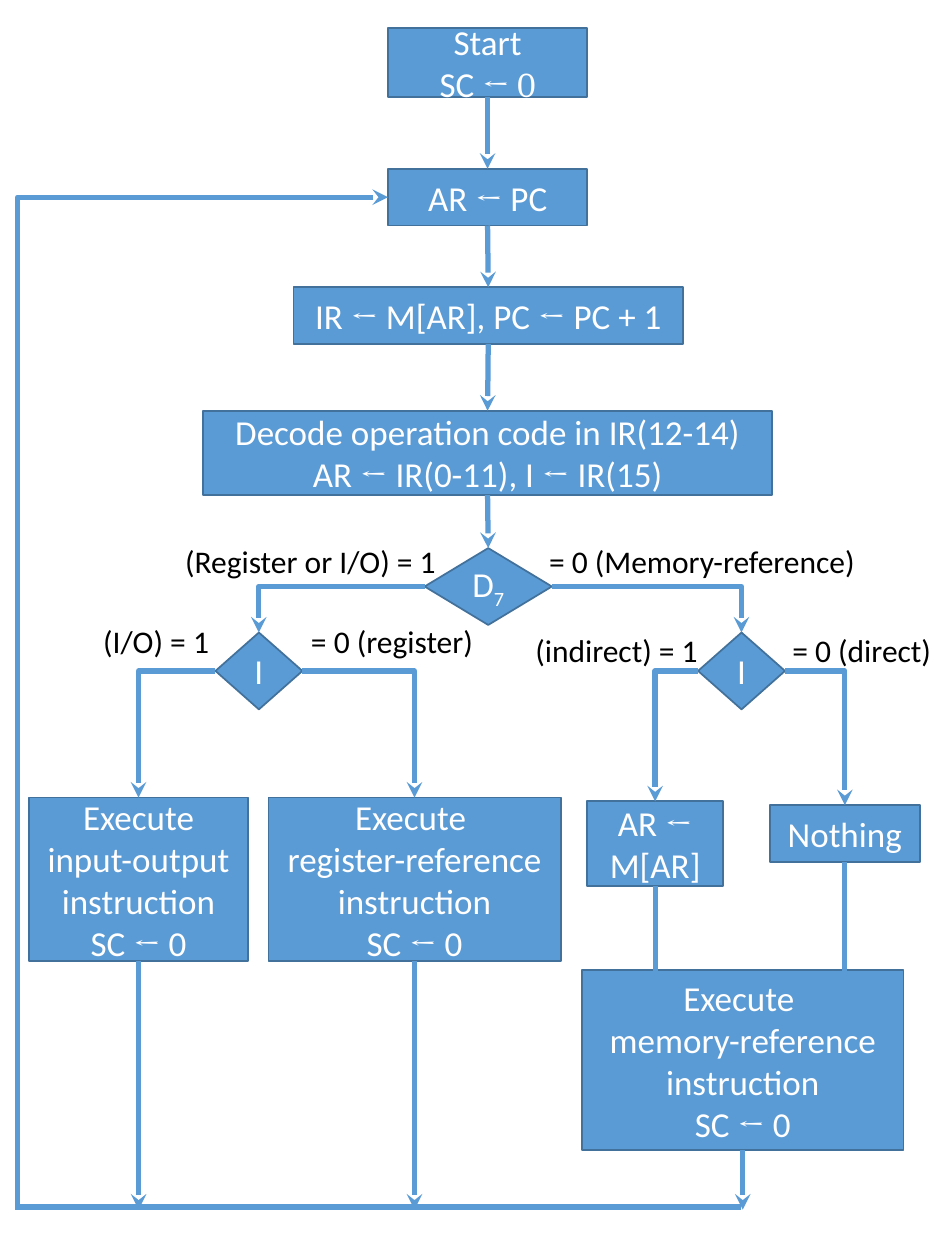
from pptx import Presentation
from pptx.dml.color import RGBColor
from pptx.enum.shapes import MSO_CONNECTOR as Link, MSO_SHAPE as Shape
from pptx.enum.text import MSO_ANCHOR as Anchor, PP_ALIGN as Align
from pptx.oxml.ns import qn
from pptx.util import Inches, Pt
from lxml import etree

BLUE = RGBColor(0x5B, 0x9B, 0xD5)
EDGE = RGBColor(0x42, 0x71, 0x9B)
WHITE = RGBColor(0xFF, 0xFF, 0xFF)
BLACK = RGBColor(0x00, 0x00, 0x00)
ARROW = "←"
RESET = ("SC ", ARROW, " 0")


def fill_text(frame, lines, size, color, align):
    """Write lines of pieces; a piece that starts with an arrow is in Cambria."""
    for number, pieces in enumerate(lines):
        para = frame.paragraphs[0] if number == 0 else frame.add_paragraph()
        para.alignment = align
        for piece in pieces:
            span = para.add_run()
            span.text = piece
            span.font.name = "Cambria" if piece.startswith(ARROW) else "Calibri"
            span.font.size = Pt(size)
            span.font.color.rgb = color


def add_node(page, box, *lines, kind=Shape.RECTANGLE):
    node = page.shapes.add_shape(kind, *map(Inches, box))
    node.shadow.inherit = False
    node.fill.solid()
    node.fill.fore_color.rgb = BLUE
    node.line.color.rgb = EDGE
    node.line.width = Pt(1)
    node.text_frame.word_wrap = True
    node.text_frame.vertical_anchor = Anchor.MIDDLE
    fill_text(node.text_frame, lines, 20, WHITE, Align.CENTER)
    return node


def add_label(page, box, text):
    label = page.shapes.add_textbox(*map(Inches, box))
    label.text_frame.word_wrap = False
    fill_text(label.text_frame, [[text]], 18, BLACK, Align.LEFT)


def add_link(page, start, end, bent=False, arrow="tailEnd"):
    """Join two points; a bent link runs across first, then down."""
    link = page.shapes.add_connector(Link.ELBOW if bent else Link.STRAIGHT, *start, *end)
    link.line.color.rgb = BLUE
    link.line.width = Pt(3)
    properties = link._element.spPr
    if bent:
        properties.find(qn("a:prstGeom")).set("prst", "bentConnector2")
    if arrow:
        head = etree.SubElement(link.line._get_or_add_ln(), qn("a:" + arrow))
        head.set("type", "stealth")
    etree.SubElement(properties, qn("a:effectLst"))


def top(node):
    return node.left + node.width // 2, node.top


def bottom(node):
    return node.left + node.width // 2, node.top + node.height


def side(node, right):
    return node.left + (node.width if right else 0), node.top + node.height // 2


def drop(page, node, level):
    """Arrow straight down from a node to a level."""
    add_link(page, bottom(node), (bottom(node)[0], Inches(level)))


def branch(page, decision, left_node, right_node):
    add_link(page, side(decision, False), top(left_node), bent=True)
    add_link(page, side(decision, True), top(right_node), bent=True)


def add_fetch(page, left, y):
    """Start, fetch and decode steps, one below the other."""
    start = add_node(page, (left + 1.47, y, 1.58, 0.55), ["Start"], ["SC ", "← 0"])
    address = add_node(page, (left + 1.47, y + 1.12, 1.58, 0.45), ["AR ", "← ", "PC"])
    fetch = add_node(page, (left + 0.72, y + 2.06, 3.09, 0.45),
                     ["IR ", "← ", "M[AR], PC ", ARROW, " PC + 1"])
    decode = add_node(page, (left, y + 3.04, 4.52, 0.67),
                      ["Decode operation code in IR(12-14)"],
                      ["AR ", ARROW, " IR(0-11), I ", ARROW, " IR(15)"])
    steps = [start, address, fetch, decode]
    for upper, lower in zip(steps, steps[1:]):
        add_link(page, bottom(upper), top(lower))
    return address, decode


def add_decisions(page, left, y):
    """Type decision with the two mode decisions below it."""
    kind = add_node(page, (left + 1.66, y, 1.01, 0.61), ["D", "7"], kind=Shape.DIAMOND)
    digit = kind.text_frame.paragraphs[0].runs[1]
    digit.font._element.set("baseline", "-25000")
    modes = [add_node(page, (left + step, y + 0.67, 0.69, 0.61), ["I"], kind=Shape.DIAMOND)
             for step in (0, 3.83)]
    branch(page, kind, *modes)
    return kind, *modes


def add_register_side(page, left, y, mode, level):
    """Input-output and register-reference instructions."""
    io_step = add_node(page, (left, y, 1.74, 1.3),
                       ["Execute input-output instruction"], RESET)
    register = add_node(page, (left + 1.9, y, 2.32, 1.3),
                        ["Execute "], ["register-reference instruction"], RESET)
    branch(page, mode, io_step, register)
    for node in (io_step, register):
        drop(page, node, level)


def add_memory_side(page, left, y, mode, level):
    """Indirect and direct addressing, then the memory-reference instruction."""
    indirect = add_node(page, (left + 0.04, y, 1.08, 0.67), ["AR ", "← ", "M[AR]"])
    direct = add_node(page, (left + 1.49, y + 0.03, 1.19, 0.45), ["Nothing"])
    execute = add_node(page, (left, y + 1.34, 2.55, 1.43),
                       ["Execute "], ["memory-reference instruction"], RESET)
    branch(page, mode, indirect, direct)
    for node in (indirect, direct):
        drop(page, node, y + 1.54)
    drop(page, execute, level)


def add_return(page, left, right, level, target):
    """Loop from the bottom line back to the first fetch step."""
    line_y = Inches(level - 0.02)
    add_link(page, (Inches(right), line_y), (Inches(left), line_y), arrow=None)
    add_link(page, side(target, False), (Inches(left), Inches(level)),
             bent=True, arrow="headEnd")


def add_labels(page):
    for left, y, width, text in (
        (1.37, 4.25, 2.22, "(Register or I/O) = 1"),
        (4.26, 4.25, 2.67, "= 0 (Memory-reference)"),
        (0.72, 4.89, 1.05, "(I/O) = 1"),
        (2.37, 4.89, 1.5, "= 0 (register)"),
        (4.15, 4.96, 1.51, "(indirect) = 1"),
        (6.19, 4.96, 1.32, "= 0 (direct)"),
    ):
        add_label(page, (left, y, width, 0.4), text)


def main():
    deck = Presentation()
    deck.slide_width, deck.slide_height = Inches(7.5), Inches(10)
    page = deck.slides.add_slide(deck.slide_layouts[6])
    level = 9.6
    address, decode = add_fetch(page, 1.61, 0.22)
    kind, register_mode, memory_mode = add_decisions(page, 1.71, 4.35)
    add_link(page, bottom(decode), top(kind))
    add_register_side(page, 0.23, 6.33, register_mode, level)
    add_memory_side(page, 4.62, 6.36, memory_mode, level)
    add_return(page, 0.14, 5.88, level, address)
    add_labels(page)
    deck.save("out.pptx")


if __name__ == "__main__":
    main()
